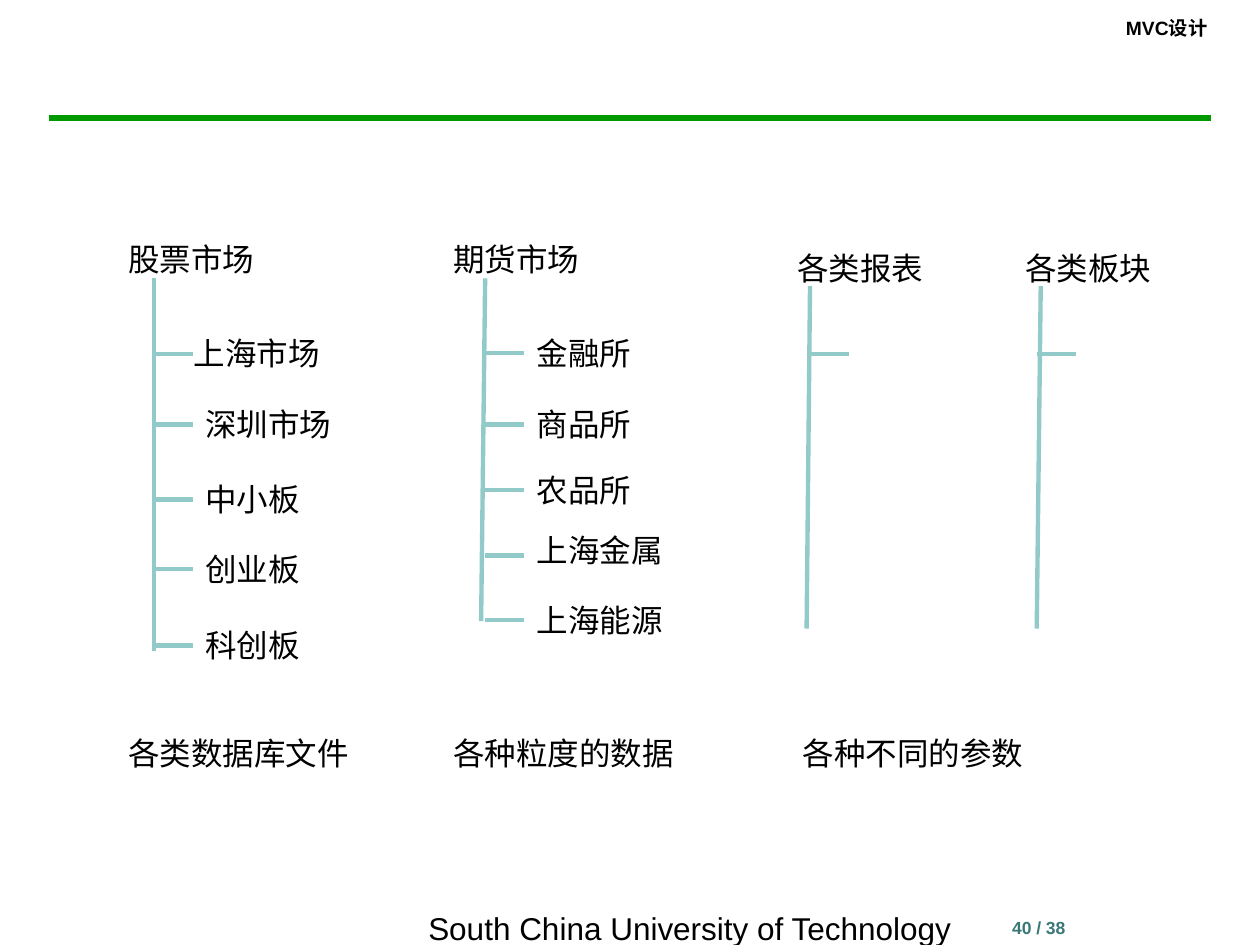
from dataclasses import dataclass
from typing import Optional

from lxml.etree import SubElement
from pptx import Presentation
from pptx.dml.color import RGBColor
from pptx.enum.shapes import MSO_CONNECTOR as Connector
from pptx.enum.text import MSO_ANCHOR as Anchor, MSO_AUTO_SIZE as AutoSize, PP_ALIGN as Align
from pptx.oxml.ns import qn
from pptx.util import Cm, Pt

FONT = "Arial"
BLACK, GREEN, TEAL, DARK_TEAL = "000000", "009900", "92CAC9", "3A7877"
LABEL_HEIGHT = 1.02
TICK_LENGTH = 0.79


# All lengths below are centimetres
@dataclass
class Branch:
    tick_y: float
    label: str = ""
    left: float = 0
    top: float = 0
    joined: bool = True


@dataclass
class Tree:
    title: str
    left: float
    top: float
    trunk: tuple[float, float, float, float]
    tick_x: float
    branches: list[Branch]


def label_branches(left: float, items: list[tuple[str, float]]) -> list[Branch]:
    """Branches whose tick meets the middle of the label's left side."""
    return [Branch(top + LABEL_HEIGHT / 2, label, left, top) for label, top in items]


TREES = [
    Tree("股票市场", 2.34, 4.72, (3.1, 5.61, 3.1, 13.13), 3.1, [
        Branch(7.13, "上海市场", 3.66, 6.61, joined=False),
        *label_branches(3.89, [("深圳市场", 8.05), ("中小板", 9.56),
                               ("创业板", 10.96), ("科创板", 12.5)]),
    ]),
    Tree("期货市场", 8.89, 4.72, (9.78, 5.61, 9.7, 12.52), 9.78, [
        *label_branches(10.57, [("金融所", 6.61), ("商品所", 8.05),
                                ("农品所", 9.37), ("上海能源", 11.99)]),
        Branch(11.2, "上海金属", 10.57, 10.59, joined=False),
    ]),
    Tree("各类报表", 15.82, 4.9, (16.33, 5.77, 16.26, 12.67), 16.33, [Branch(7.13)]),
    Tree("各类板块", 20.42, 4.9, (20.98, 5.77, 20.9, 12.67), 20.9, [Branch(7.13)]),
]
CAPTIONS = [("各类数据库文件", 2.34), ("各种粒度的数据", 8.89), ("各种不同的参数", 15.93)]


def color(value: str) -> RGBColor:
    return RGBColor.from_string(value)


def add_text(slide, text: str, left: float, top: float, width: float, height: float,
             size: float = 18, fill: str = BLACK, bold: bool = False,
             align: Align = Align.LEFT, anchor: Anchor = Anchor.TOP, wrap: bool = True):
    box = slide.shapes.add_textbox(Cm(left), Cm(top), Cm(width), Cm(height))
    frame = box.text_frame
    frame.text = text
    frame.word_wrap = wrap
    frame.vertical_anchor = anchor
    paragraph = frame.paragraphs[0]
    paragraph.alignment = align
    font = paragraph.runs[0].font
    font.name, font.size, font.bold = FONT, Pt(size), bold
    font.color.rgb = color(fill)
    return box


def add_label(slide, text: str, left: float, top: float):
    width = 0.51 + 0.635 * len(text)
    box = add_text(slide, text, left, top, width, LABEL_HEIGHT, wrap=False)
    box.text_frame.auto_size = AutoSize.SHAPE_TO_FIT_TEXT
    return box


def add_line(slide, x1: float, y1: float, x2: float, y2: float,
             stroke: str = TEAL, weight: float = 2.5, end_shape: Optional[object] = None) -> None:
    line = slide.shapes.add_connector(Connector.STRAIGHT, Cm(x1), Cm(y1), Cm(x2), Cm(y2))
    line.line.color.rgb = color(stroke)
    line.line.width = Pt(weight)
    SubElement(line._element.spPr, qn("a:effectLst"))
    if end_shape is not None:
        line.end_connect(end_shape, 1)


def add_tree(slide, tree: Tree) -> None:
    add_label(slide, tree.title, tree.left, tree.top)
    add_line(slide, *tree.trunk)
    for branch in tree.branches:
        box = add_label(slide, branch.label, branch.left, branch.top) if branch.label else None
        add_line(slide, tree.tick_x, branch.tick_y, tree.tick_x + TICK_LENGTH, branch.tick_y,
                 end_shape=box if branch.joined else None)


def main() -> None:
    presentation = Presentation()
    presentation.slide_width, presentation.slide_height = Cm(25.4), Cm(19.05)
    slide = presentation.slides.add_slide(presentation.slide_layouts[6])

    # Header and footer
    add_line(slide, 0.99, 2.38, 24.41, 2.38, GREEN, 3)
    add_text(slide, "MVC设计", 12.3, 0.2, 12.29, 0.7, 11, bold=True, align=Align.RIGHT)
    add_text(slide, "40 / 38", 18.08, 18.36, 5.72, 1.27, 10, DARK_TEAL, True, Align.CENTER)
    add_text(slide, "South China University of Technology", 8.1, 18.36, 11.61, 0.69,
             align=Align.CENTER, anchor=Anchor.MIDDLE)

    # Market trees
    for tree in TREES:
        add_tree(slide, tree)

    # Captions under the trees
    for caption, left in CAPTIONS:
        add_label(slide, caption, left, 14.68)

    presentation.save("out.pptx")


if __name__ == "__main__":
    main()
